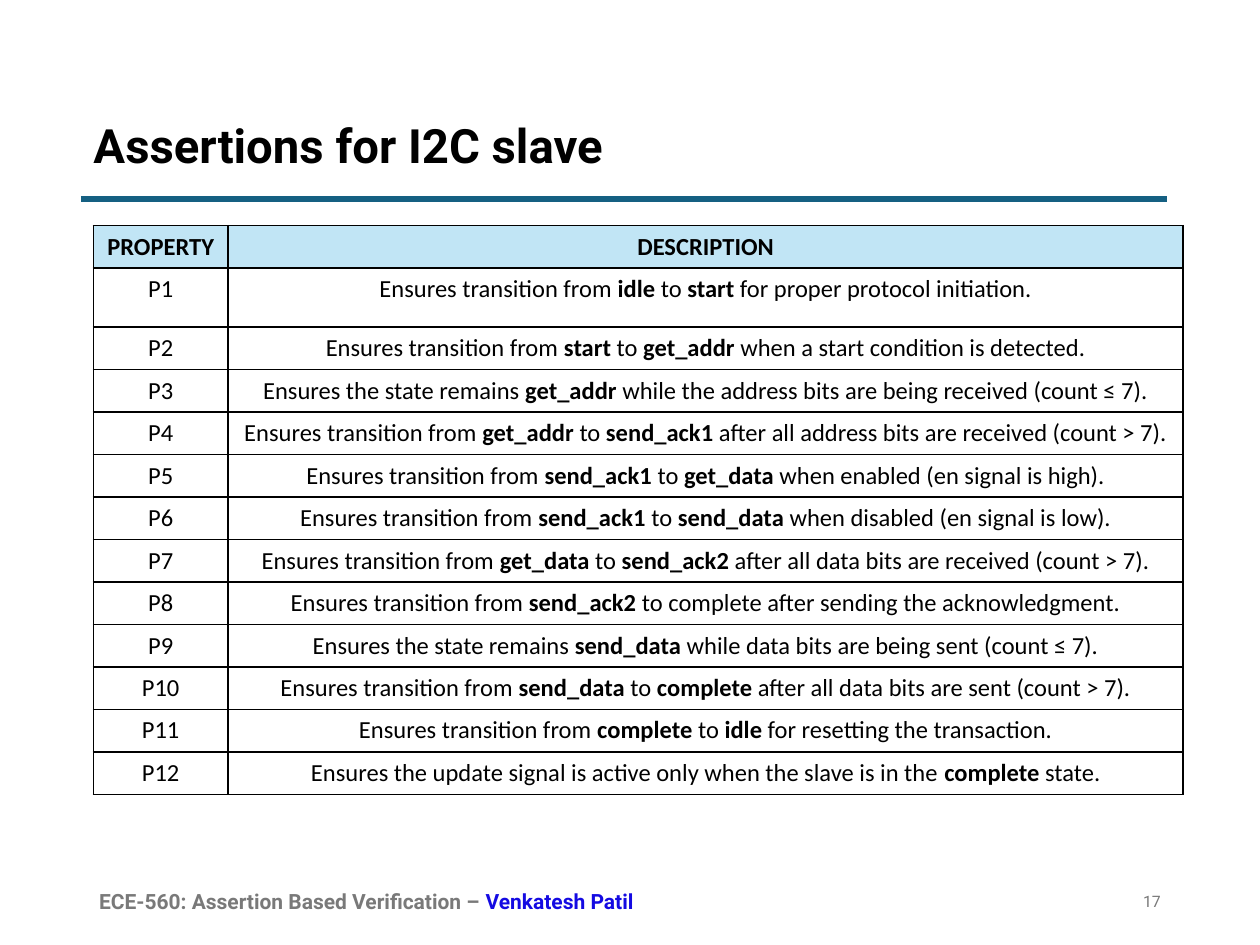
import dataclasses

import lxml.etree
import pptx
import pptx.dml.color
import pptx.enum.shapes
import pptx.enum.text
import pptx.oxml.ns
import pptx.util

Cm = pptx.util.Cm
Align = pptx.enum.text.PP_ALIGN
Anchor = pptx.enum.text.MSO_ANCHOR


@dataclasses.dataclass(frozen=True)
class Theme:
    heading_font: str = "Roboto"
    table_font: str = "Calibri"
    ink: str = "000000"
    accent: str = "156082"
    header_fill: str = "C1E5F5"
    muted: str = "797979"
    author: str = "140AE2"
    title_size: float = 27
    table_size: float = 14
    footer_size: float = 12
    number_size: float = 9


THEME = Theme()

# Text between asterisks is bold
PROPERTIES = [
    "Ensures transition from *idle* to *start* for proper protocol initiation.",
    "Ensures transition from *start* to *get_addr *when a start condition is detected.",
    "Ensures the state remains *get_addr *while the address bits are being received (count ≤ 7).",
    "Ensures transition from *get_addr *to *send_ack1 *after all address bits are received (count > 7).",
    "Ensures transition from *send_ack1 *to *get_data *when enabled (en signal is high).",
    "Ensures transition from *send_ack1 *to *send_data *when disabled (en signal is low).",
    "Ensures transition from *get_data *to *send_ack2 *after all data bits are received (count > 7).",
    "Ensures transition from *send_ack2 *to complete after sending the acknowledgment.",
    "Ensures the state remains *send_data *while data bits are being sent (count ≤ 7).",
    "Ensures transition from *send_data *to *complete* after all data bits are sent (count > 7).",
    "Ensures transition from *complete* to *idle* for resetting the transaction.",
    "Ensures the update signal is active only when the slave is in the *complete* state.",
]


def rgb(value):
    return pptx.dml.color.RGBColor.from_string(value)


def add_run(paragraph, text, font, size, color, bold=False):
    run = paragraph.add_run()
    run.text = text
    run.font.name = font
    run.font.size = pptx.util.Pt(size)
    run.font.color.rgb = rgb(color)
    run.font.bold = bold


def set_borders(cell, color, width):
    properties = cell._tc.get_or_add_tcPr()
    for index, side in enumerate(("lnL", "lnR", "lnT", "lnB")):
        line = lxml.etree.Element(pptx.oxml.ns.qn(f"a:{side}"), w=str(pptx.util.Pt(width)))
        fill = lxml.etree.SubElement(line, pptx.oxml.ns.qn("a:solidFill"))
        lxml.etree.SubElement(fill, pptx.oxml.ns.qn("a:srgbClr"), val=color)
        properties.insert(index, line)


def add_heading(slide, left, top, width, height):
    # Title
    title = slide.shapes.title
    title.left, title.top, title.width, title.height = map(Cm, (left, top, width, height))
    frame = title.text_frame
    frame.auto_size = pptx.enum.text.MSO_AUTO_SIZE.NONE
    frame.vertical_anchor = Anchor.MIDDLE
    paragraph = frame.paragraphs[0]
    paragraph.alignment = Align.LEFT
    paragraph.line_spacing = 0.9
    add_run(paragraph, "Assertions for I2C slave", THEME.heading_font,
            THEME.title_size, THEME.ink, True)

    # Rule under the title
    rule_y = Cm(top + height + 0.03)
    rule = slide.shapes.add_connector(pptx.enum.shapes.MSO_CONNECTOR.STRAIGHT,
                                      Cm(left), rule_y, Cm(left + width), rule_y)
    rule.line.color.rgb = rgb(THEME.accent)
    rule.line.width = pptx.util.Pt(3)
    lxml.etree.SubElement(rule._element.spPr, pptx.oxml.ns.qn("a:effectLst"))


def add_property_table(slide, left, top, width, height):
    rows = [("*PROPERTY*", "*DESCRIPTION*")]
    rows += [(f"P{number}", text) for number, text in enumerate(PROPERTIES, 1)]
    table = slide.shapes.add_table(len(rows), 2, Cm(left), Cm(top), Cm(width), Cm(height)).table
    table.first_row = table.horz_banding = False
    property_width = 2.72
    table.columns[0].width = Cm(property_width)
    table.columns[1].width = Cm(width - property_width)

    for row_index, texts in enumerate(rows):
        # The first property has a taller row
        table.rows[row_index].height = Cm(1.19 if row_index == 1 else 0.81)
        for column, text in enumerate(texts):
            cell = table.cell(row_index, column)
            if row_index == 0:
                cell.fill.solid()
                cell.fill.fore_color.rgb = rgb(THEME.header_fill)
            else:
                cell.fill.background()
            set_borders(cell, THEME.ink, 1)
            paragraph = cell.text_frame.paragraphs[0]
            paragraph.alignment = Align.CENTER
            for part_index, part in enumerate(text.split("*")):
                if part:
                    add_run(paragraph, part, THEME.table_font, THEME.table_size,
                            THEME.ink, part_index % 2 == 1)


def add_footer(slide, left, top, width, height):
    def add_line(x, line_width, alignment):
        box = slide.shapes.add_textbox(Cm(x), Cm(top), Cm(line_width), Cm(height))
        box.text_frame.word_wrap = True
        box.text_frame.vertical_anchor = Anchor.MIDDLE
        paragraph = box.text_frame.paragraphs[0]
        paragraph.alignment = alignment
        return paragraph

    # Course and author
    course = add_line(left, 15.24, Align.LEFT)
    for text, color in (("ECE-560: Assertion Based Verification – ", THEME.muted),
                        ("Venkatesh Patil", THEME.author)):
        add_run(course, text, THEME.heading_font, THEME.footer_size, color, True)

    # Page number
    number_width = 5.72
    number = add_line(left + width - number_width, number_width, Align.RIGHT)
    add_run(number, "17", THEME.heading_font, THEME.number_size, THEME.muted)


def main():
    deck = pptx.Presentation()
    deck.slide_width, deck.slide_height = Cm(25.4), Cm(19.05)
    title_only = deck.slide_layouts[5]
    slide = deck.slides.add_slide(title_only)
    add_heading(slide, 1.63, 1.98, 21.89, 2)
    add_property_table(slide, 1.88, 4.55, 21.97, 10.91)
    add_footer(slide, 1.75, 17.65, 21.9, 1.02)
    deck.save("out.pptx")


if __name__ == "__main__":
    main()
